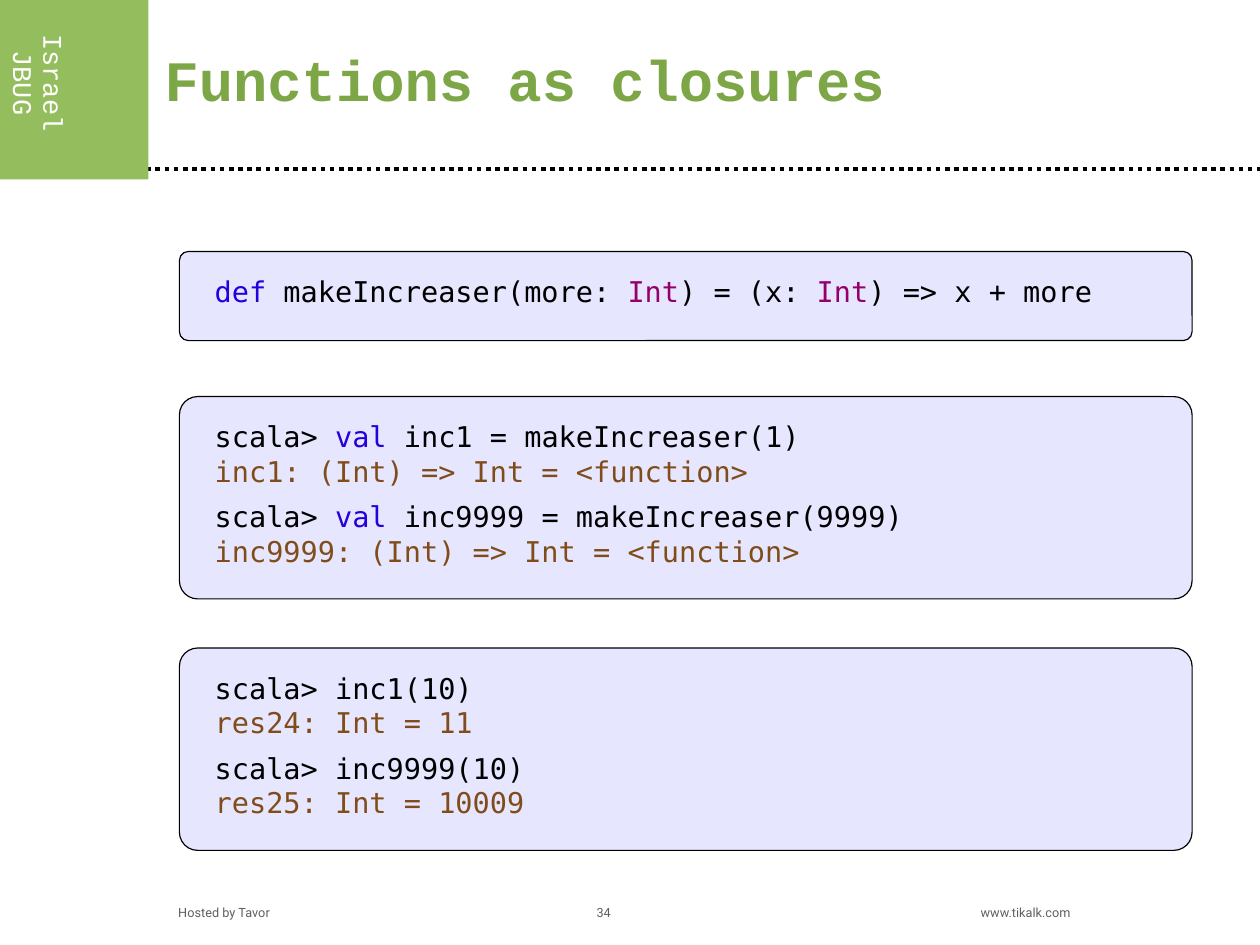
from dataclasses import dataclass

import pptx
import pptx.dml.color
import pptx.enum.dml
import pptx.enum.shapes
import pptx.enum.text
import pptx.slide
import pptx.text.text
import pptx.util
from lxml import etree
from pptx.util import Inches

GREEN, TITLE_GREEN, LAVENDER = "94BD5E", "7DA647", "E6E6FF"
BLACK, WHITE, GREY = "000000", "FFFFFF", "5F5F5F"
KEYWORD, TYPE, REPLY = "2300DC", "94006B", "804C19"
TITLE_FONT, CODE_FONT, FOOTER_FONT = "Courier New", "DejaVu Sans Mono", "Roboto"
DRAWING = "{http://schemas.openxmlformats.org/drawingml/2006/main}"


@dataclass
class Token:
    text: str
    color: str = BLACK


Line = list[Token]


@dataclass
class Panel:
    """A rounded box holding code blocks, each a list of lines."""
    top: float
    height: float
    corner: float
    blocks: list[list[Line]]


PROMPT = Token("scala> ")
VAL = Token("val", KEYWORD)
INT = Token("Int", TYPE)
PANELS = [
    Panel(2.2, 0.78, 0.1, [
        [[Token("def", KEYWORD), Token(" makeIncreaser(more: "), INT,
          Token(") = (x: "), INT, Token(") => x + more")]],
    ]),
    Panel(3.47, 1.77, 0.09, [
        [[PROMPT, VAL, Token(" inc1 = makeIncreaser(1)")],
         [Token("inc1: (Int) => Int = <function>", REPLY)]],
        [[PROMPT, VAL, Token(" inc9999 = makeIncreaser(9999)")],
         [Token("inc9999: (Int) => Int = <function>", REPLY)]],
    ]),
    Panel(5.67, 1.77, 0.09, [
        [[Token("scala> inc1(10)")], [Token("res24: Int = 11", REPLY)]],
        [[Token("scala> inc9999(10)")], [Token("res25: Int = 10009", REPLY)]],
    ]),
]


def rgb(color: str) -> pptx.dml.color.RGBColor:
    return pptx.dml.color.RGBColor.from_string(color)


def style_font(font: pptx.text.text.Font, name: str, size: float, color: str) -> None:
    font.name = name
    font.size = pptx.util.Pt(size)
    font.color.rgb = rgb(color)


def set_insets(frame: pptx.text.text.TextFrame, side: float, end: float) -> None:
    frame.margin_left = frame.margin_right = Inches(side)
    frame.margin_top = frame.margin_bottom = Inches(end)


def add_text_box(slide: pptx.slide.Slide, left: float, top: float, width: float,
                 height: float, side: float = 0.1,
                 end: float = 0.05) -> pptx.text.text.TextFrame:
    box = slide.shapes.add_textbox(Inches(left), Inches(top), Inches(width), Inches(height))
    set_insets(box.text_frame, side, end)
    return box.text_frame


def add_header(slide: pptx.slide.Slide) -> None:
    # Dotted rule
    rule = slide.shapes.add_connector(
        pptx.enum.shapes.MSO_CONNECTOR.STRAIGHT,
        Inches(1.28), Inches(1.48), Inches(11.02), Inches(1.48))
    rule.line.color.rgb = rgb(BLACK)
    rule.line.width = pptx.util.Pt(2.89)
    rule.line.dash_style = pptx.enum.dml.MSO_LINE.ROUND_DOT
    etree.SubElement(rule.element.spPr, DRAWING + "effectLst")

    # Green corner with its vertical label
    corner = slide.shapes.add_shape(
        pptx.enum.shapes.MSO_SHAPE.RECTANGLE, 0, 0, Inches(1.3), Inches(1.57))
    corner.shadow.inherit = False
    corner.fill.solid()
    corner.fill.fore_color.rgb = rgb(GREEN)
    corner.line.fill.background()
    label = add_text_box(slide, 0.04, 0.2, 0.6, 1.45, 0.05, 0.1)
    label.word_wrap = True
    label.text = "Israel JBUG"
    label._txBody.bodyPr.set("vert", "eaVert")
    paragraph = label.paragraphs[0]
    paragraph.alignment = pptx.enum.text.PP_ALIGN.CENTER
    paragraph.line_spacing = 0.93
    style_font(paragraph.runs[0].font, TITLE_FONT, 17, WHITE)


def add_title(slide: pptx.slide.Slide) -> None:
    title = slide.shapes.title
    title.left, title.top = Inches(1.33), Inches(0.33)
    title.width, title.height = Inches(8.98), Inches(0.77)
    frame = title.text_frame
    frame.text = "Functions as closures"
    frame.vertical_anchor = pptx.enum.text.MSO_ANCHOR.MIDDLE
    set_insets(frame, 0.11, 0.07)
    paragraph = frame.paragraphs[0]
    paragraph.alignment = pptx.enum.text.PP_ALIGN.LEFT
    paragraph.line_spacing = 0.98
    font = paragraph.runs[0].font
    style_font(font, TITLE_FONT, 36, TITLE_GREEN)
    font.bold = True


def add_panel(slide: pptx.slide.Slide, panel: Panel) -> None:
    box = slide.shapes.add_shape(
        pptx.enum.shapes.MSO_SHAPE.ROUNDED_RECTANGLE,
        Inches(1.57), Inches(panel.top), Inches(8.86), Inches(panel.height))
    box.adjustments[0] = panel.corner
    box.shadow.inherit = False
    box.fill.solid()
    box.fill.fore_color.rgb = rgb(LAVENDER)
    box.line.color.rgb = rgb(BLACK)
    box.line.width = pptx.util.Pt(0.75)

    for index, block in enumerate(panel.blocks):
        frame = add_text_box(slide, 1.78, panel.top + 0.15 + 0.7 * index, 8.2, 0.79)
        frame.word_wrap = True
        for number, line in enumerate(block):
            paragraph = frame.add_paragraph() if number else frame.paragraphs[0]
            for token in line:
                run = paragraph.add_run()
                run.text = token.text
                style_font(run.font, CODE_FONT, 18, token.color)


def add_footer(slide: pptx.slide.Slide) -> None:
    frame = add_text_box(slide, 1.45, 7.83, 9.57, 0.3, 0.11, 0.06)
    frame.word_wrap = True
    frame.vertical_anchor = pptx.enum.text.MSO_ANCHOR.MIDDLE
    frame.text = "Hosted by Tavor\t34\twww.tikalk.com"
    paragraph = frame.paragraphs[0]
    tabs = etree.SubElement(paragraph._p.get_or_add_pPr(), DRAWING + "tabLst")
    for position in (3.66, 7.02):
        etree.SubElement(tabs, DRAWING + "tab", pos=str(Inches(position)), algn="l")
    for run in paragraph.runs:
        style_font(run.font, FOOTER_FONT, 8, GREY)


def main() -> None:
    presentation = pptx.Presentation()
    # 28 by 21 centimetres
    presentation.slide_width = Inches(28 / 2.54)
    presentation.slide_height = Inches(21 / 2.54)
    slide = presentation.slides.add_slide(presentation.slide_layouts[5])
    add_header(slide)
    add_title(slide)
    for panel in PANELS:
        add_panel(slide, panel)
    add_footer(slide)
    presentation.save("out.pptx")


if __name__ == "__main__":
    main()
